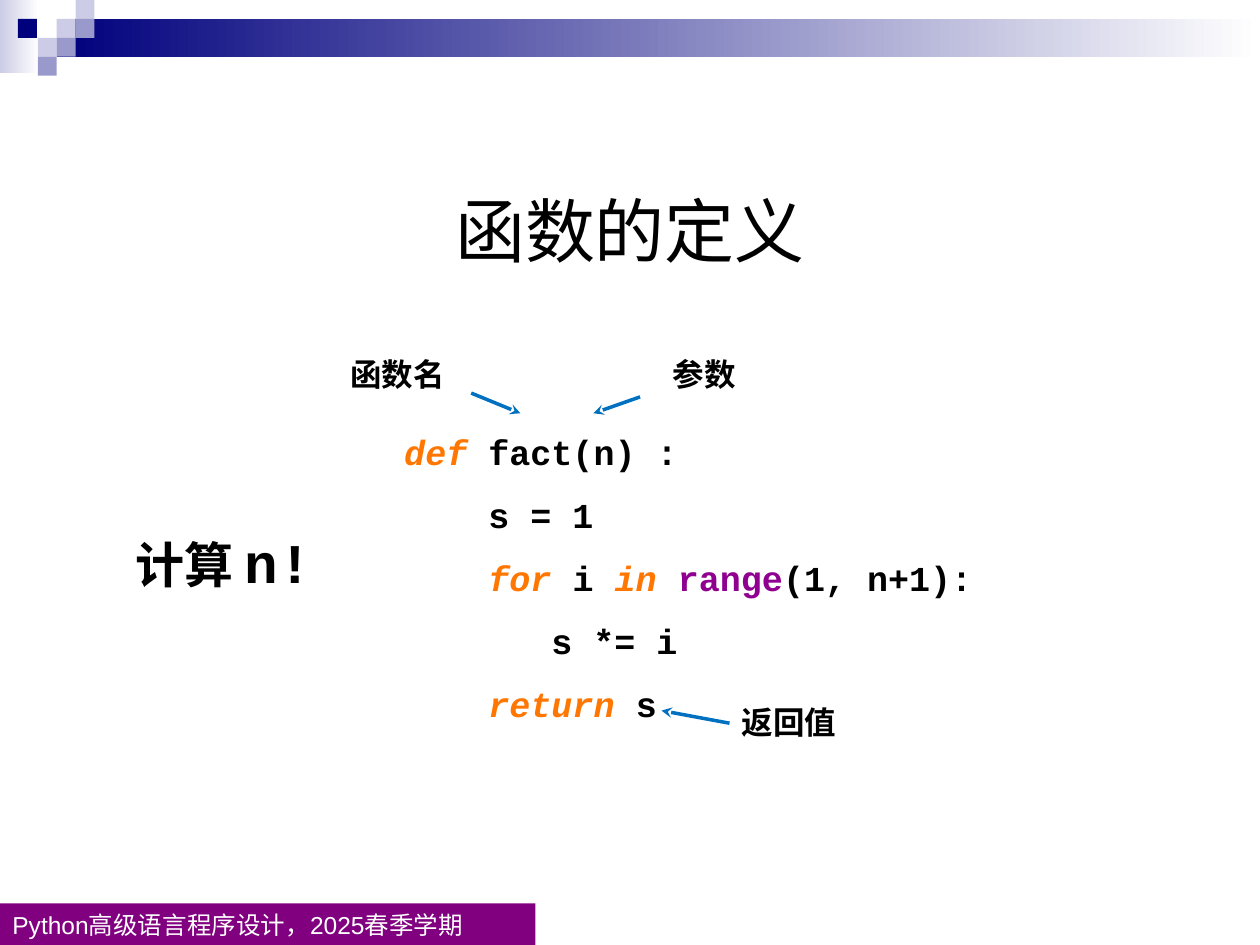
from lxml import etree
from pptx import Presentation
from pptx.dml.color import RGBColor
from pptx.enum.shapes import MSO_CONNECTOR, MSO_SHAPE
from pptx.enum.text import MSO_ANCHOR, MSO_AUTO_SIZE, PP_ALIGN
from pptx.oxml.ns import qn
from pptx.util import Inches, Pt

NAVY = RGBColor(0x00, 0x00, 0x7D)
LAVENDER = RGBColor(0xCC, 0xCC, 0xE6)
PERIWINKLE = RGBColor(0x99, 0x99, 0xCC)
PURPLE = RGBColor(0x80, 0x00, 0x80)
BUILTIN = RGBColor(0x90, 0x00, 0x90)
ORANGE = RGBColor(0xFF, 0x77, 0x00)
BLUE = RGBColor(0x00, 0x70, 0xC0)
BLACK = RGBColor(0, 0, 0)
WHITE = RGBColor(0xFF, 0xFF, 0xFF)

CJK = "Noto Sans CJK SC"
MONO = "Courier New"

PLAIN = {"color": BLACK, "italic": False}
KEYWORD = {"color": ORANGE, "italic": True}
BUILTIN_NAME = {"color": BUILTIN, "italic": False}
CODE = [
    [("def ", KEYWORD), ("fact(n) :", PLAIN)],
    [("    s = 1", PLAIN)],
    [("    ", PLAIN), ("for", KEYWORD), (" i ", PLAIN), ("in ", KEYWORD),
     ("range", BUILTIN_NAME), ("(1, n+1):", PLAIN)],
    [("       s *= i", PLAIN)],
    [("    ", PLAIN), ("return ", KEYWORD), ("s", PLAIN)],
]


def add_run(paragraph, text, size, name, color=BLACK, **formats):
    run = paragraph.add_run()
    run.text = text
    font = run.font
    font.color.rgb = color
    for key, value in {"size": Pt(size), "name": name, **formats}.items():
        setattr(font, key, value)
    if name == CJK:
        east_asian = etree.SubElement(run._r.get_or_add_rPr(), qn("a:ea"))
        east_asian.set("typeface", name)


def add_rectangle(slide, box, color, fade=False):
    """Add a borderless rectangle, optionally fading to white on the right."""
    shape = slide.shapes.add_shape(MSO_SHAPE.RECTANGLE, *map(Inches, box))
    shape.shadow.inherit = False
    shape.line.fill.background()
    if fade:
        shape.fill.gradient()
        shape.fill.gradient_angle = 0
        for stop, stop_color, position in zip(
                shape.fill.gradient_stops, (color, WHITE), (0, 1)):
            stop.color.rgb = stop_color
            stop.position = position
    else:
        shape.fill.solid()
        shape.fill.fore_color.rgb = color
    return shape


def add_text_box(slide, box, wrap=False):
    frame = slide.shapes.add_textbox(*map(Inches, box)).text_frame
    frame.word_wrap = wrap
    return frame


def add_header(slide, left, top, width):
    side = 0.15
    add_rectangle(slide, (left, top, 0.31, 0.58), LAVENDER, fade=True)
    add_rectangle(slide, (left + 3 * side, top + side, width - 3 * side, 2 * side),
                  NAVY, fade=True)
    squares = [(3, 1, LAVENDER), (4, 0, LAVENDER), (4, 1, PERIWINKLE),
               (2, 2, LAVENDER), (0.95, 1, NAVY), (3, 2, PERIWINKLE),
               (2, 3, PERIWINKLE)]
    for column, row, color in squares:
        add_rectangle(slide, (left + column * side, top + row * side, side, side), color)


def add_footer(slide, box):
    frame = add_rectangle(slide, box, PURPLE).text_frame
    frame.vertical_anchor = MSO_ANCHOR.TOP
    paragraph = frame.paragraphs[0]
    paragraph.alignment = PP_ALIGN.LEFT
    add_run(paragraph, "Python高级语言程序设计，2025春季学期", 14, "Arial", WHITE)


def set_title(slide, box, text):
    title = slide.shapes.title
    for side, length in zip(("left", "top", "width", "height"), box):
        setattr(title, side, Inches(length))
    frame = title.text_frame
    formats = {"margin_left": 0, "margin_top": 0, "margin_right": 0,
               "margin_bottom": 0, "vertical_anchor": MSO_ANCHOR.MIDDLE,
               "auto_size": MSO_AUTO_SIZE.NONE}
    for key, value in formats.items():
        setattr(frame, key, value)
    paragraph = frame.paragraphs[0]
    paragraph.alignment = PP_ALIGN.CENTER
    paragraph.line_spacing = 0.7
    add_run(paragraph, text, 40, CJK)


def add_code(slide, box):
    frame = add_text_box(slide, box, wrap=True)
    frame.margin_right = 0
    for index, line in enumerate(CODE):
        paragraph = frame.add_paragraph() if index else frame.paragraphs[0]
        paragraph.line_spacing = 1.5
        for text, style in line:
            add_run(paragraph, text, 20, MONO, bold=True, **style)


def add_task(slide, box):
    paragraph = add_text_box(slide, box, wrap=True).paragraphs[0]
    add_run(paragraph, "计算 ", 28, CJK, bold=True)
    add_run(paragraph, "n!", 32, MONO, bold=True)


def add_callout(slide, box, text, start, end):
    """Add a label and the arrow from it to the part of the code it names."""
    add_run(add_text_box(slide, box).paragraphs[0], text, 18, CJK, bold=True)
    arrow = slide.shapes.add_connector(
        MSO_CONNECTOR.STRAIGHT, *map(Inches, (*start, *end)))
    arrow.line.color.rgb = BLUE
    arrow.line.width = Pt(2)
    etree.SubElement(arrow.line._get_or_add_ln(), qn("a:tailEnd"), type="stealth")
    etree.SubElement(arrow._element.spPr, qn("a:effectLst"))


def main():
    presentation = Presentation()
    presentation.slide_width = Inches(10)
    presentation.slide_height = Inches(7.5)
    slide = presentation.slides.add_slide(presentation.slide_layouts[5])

    add_header(slide, 0, 0, 10)
    add_footer(slide, (0, 7.17, 4.25, 0.33))
    set_title(slide, (0, 1.47, 10, 0.87), "函数的定义")
    add_code(slide, (3.11, 3.2, 4.75, 2.52))
    add_task(slide, (0.98, 4.14, 1.6, 0.64))
    add_callout(slide, (2.68, 2.77, 0.96, 0.4), "函数名", (3.74, 3.12), (4.13, 3.28))
    add_callout(slide, (5.24, 2.77, 0.71, 0.4), "参数", (5.08, 3.15), (4.71, 3.28))
    add_callout(slide, (5.79, 5.53, 0.96, 0.4), "返回值", (5.79, 5.74), (5.25, 5.64))
    presentation.save("out.pptx")


if __name__ == "__main__":
    main()
